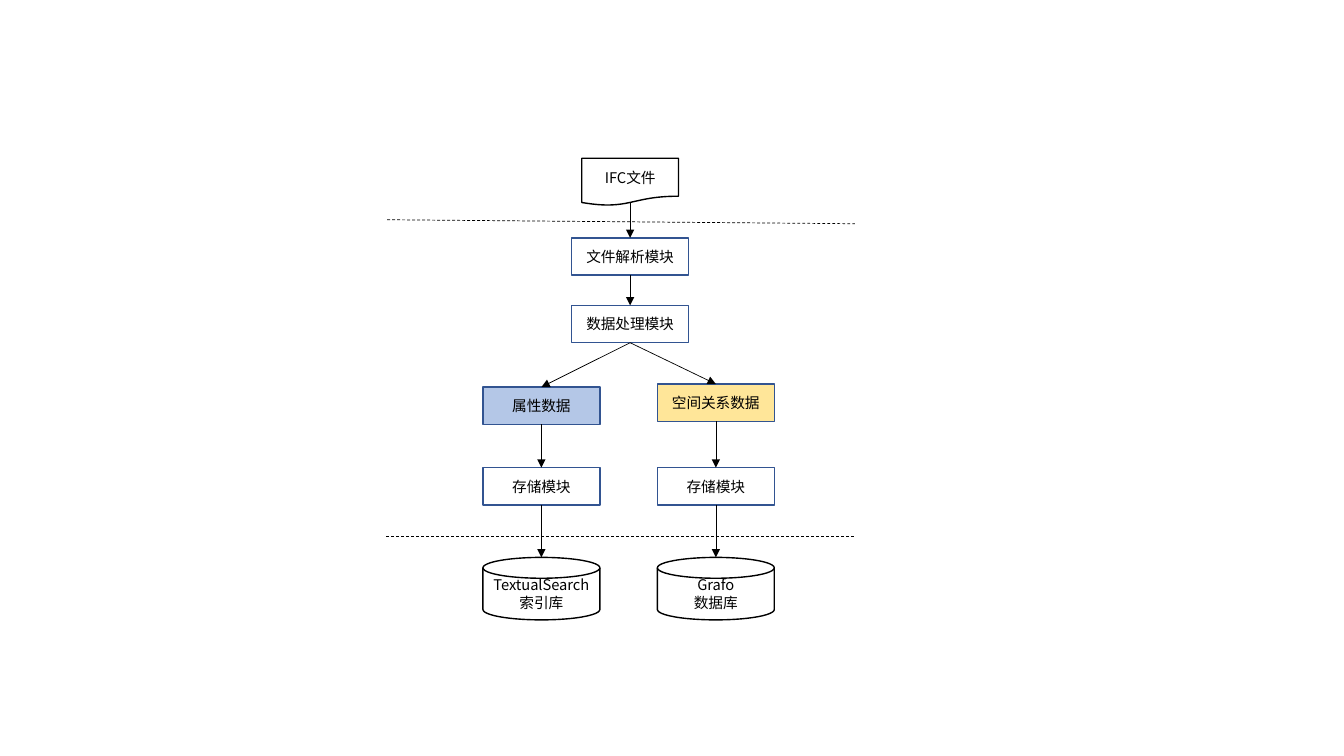
"""Build a flow chart of IFC file parsing, processing and storage."""
from dataclasses import dataclass

from lxml import etree
from pptx import Presentation
from pptx import util as u
from pptx.dml.color import RGBColor
from pptx.enum import dml, shapes, text
from pptx.oxml import ns


@dataclass(frozen=True)
class Theme:
    font: str = "Noto Sans CJK SC"
    size: float = 10.5
    leading: float = 12.5
    black: str = "000000"
    white: str = "FFFFFF"
    border: str = "325491"
    attribute: str = "B4C7E7"
    spatial: str = "FFE699"
    outline: float = 1
    thin: float = 0.5


THEME = Theme()
KINDS = shapes.MSO_SHAPE
TOP, BOTTOM = 0, 2
STEP_W, STEP_H, DISK_H = 1.16, 0.37, 0.62
MAIN_X, LEFT_X, RIGHT_X = 6.25, 5.37, 7.1
STORE_Y, DISK_Y = 4.64, 5.53


def apply_format(target, values):
    for key, value in values.items():
        setattr(target, key, value)


def add_node(slide, kind, center, top, size, lines, fill=THEME.white, border=THEME.black):
    width, height = size
    node = slide.shapes.add_shape(
        kind, u.Inches(center - width / 2), u.Inches(top), u.Inches(width), u.Inches(height))
    node.shadow.inherit = False
    node.fill.solid()
    node.fill.fore_color.rgb = RGBColor.from_string(fill)
    node.line.color.rgb = RGBColor.from_string(border)
    node.line.width = u.Pt(THEME.outline)
    frame = node.text_frame
    apply_format(frame, {"word_wrap": True, "vertical_anchor": text.MSO_ANCHOR.MIDDLE})
    frame.text = "\n".join(lines)
    for paragraph in frame.paragraphs:
        apply_format(paragraph, {"alignment": text.PP_ALIGN.CENTER,
                                 "line_spacing": u.Pt(THEME.leading)})
        for run in paragraph.runs:
            apply_format(run.font, {"name": THEME.font, "size": u.Pt(THEME.size)})
            run.font.color.rgb = RGBColor.from_string(THEME.black)
            east_asian = etree.SubElement(run.font._element, ns.qn("a:ea"))
            east_asian.set("typeface", THEME.font)
    return node


def add_step(slide, center, top, label, fill=THEME.white):
    return add_node(slide, KINDS.FLOWCHART_PROCESS, center, top, (STEP_W, STEP_H),
                    [label], fill, THEME.border)


def add_line(slide, start, end):
    points = [u.Inches(value) for value in (*start, *end)]
    line = slide.shapes.add_connector(shapes.MSO_CONNECTOR.STRAIGHT, *points)
    line.line.color.rgb = RGBColor.from_string(THEME.black)
    line.line.width = u.Pt(THEME.thin)
    etree.SubElement(line._element.spPr, ns.qn("a:effectLst"))
    return line


def add_divider(slide, start, end):
    add_line(slide, start, end).line.dash_style = dml.MSO_LINE.DASH


def add_arrow(slide, start, end, source=None, target=None):
    arrow = add_line(slide, start, end)
    head = etree.SubElement(arrow.line._get_or_add_ln(), ns.qn("a:tailEnd"))
    head.set("type", "triangle")
    if source is not None:
        arrow.begin_connect(source, BOTTOM)
    if target is not None:
        arrow.end_connect(target, TOP)


def add_branch(slide, processing, center, top, label, fill, store_lines):
    data = add_step(slide, center, top, label, fill)
    storage = add_step(slide, center, STORE_Y, "存储模块")
    add_node(slide, KINDS.FLOWCHART_MAGNETIC_DISK, center, DISK_Y,
             (STEP_W, DISK_H), store_lines)
    add_arrow(slide, (MAIN_X, 3.4), (center, top), processing, data)
    add_arrow(slide, (center, top + STEP_H), (center, STORE_Y), data, storage)
    add_arrow(slide, (center, STORE_Y + STEP_H), (center, DISK_Y), storage)


def main():
    deck = Presentation()
    apply_format(deck, {"slide_width": u.Inches(13.33), "slide_height": u.Inches(7.5)})
    slide = deck.slides.add_slide(deck.slide_layouts[6])

    add_divider(slide, (3.84, 2.18), (8.48, 2.22))
    add_divider(slide, (3.83, 5.32), (8.49, 5.32))
    add_node(slide, KINDS.FLOWCHART_DOCUMENT, MAIN_X, 1.57, (0.96, 0.47), ["IFC文件"])
    parsing = add_step(slide, MAIN_X, 2.36, "文件解析模块")
    processing = add_step(slide, MAIN_X, 3.03, "数据处理模块")
    add_arrow(slide, (MAIN_X, 2.01), (MAIN_X, 2.36), target=parsing)
    add_arrow(slide, (MAIN_X, 2.73), (MAIN_X, 3.03), parsing, processing)

    branches = [
        (LEFT_X, 3.84, "属性数据", THEME.attribute, ["TextualSearch索引库"]),
        (RIGHT_X, 3.81, "空间关系数据", THEME.spatial, ["Grafo", "数据库"]),
    ]
    for branch in branches:
        add_branch(slide, processing, *branch)
    deck.save("out.pptx")


if __name__ == "__main__":
    main()
